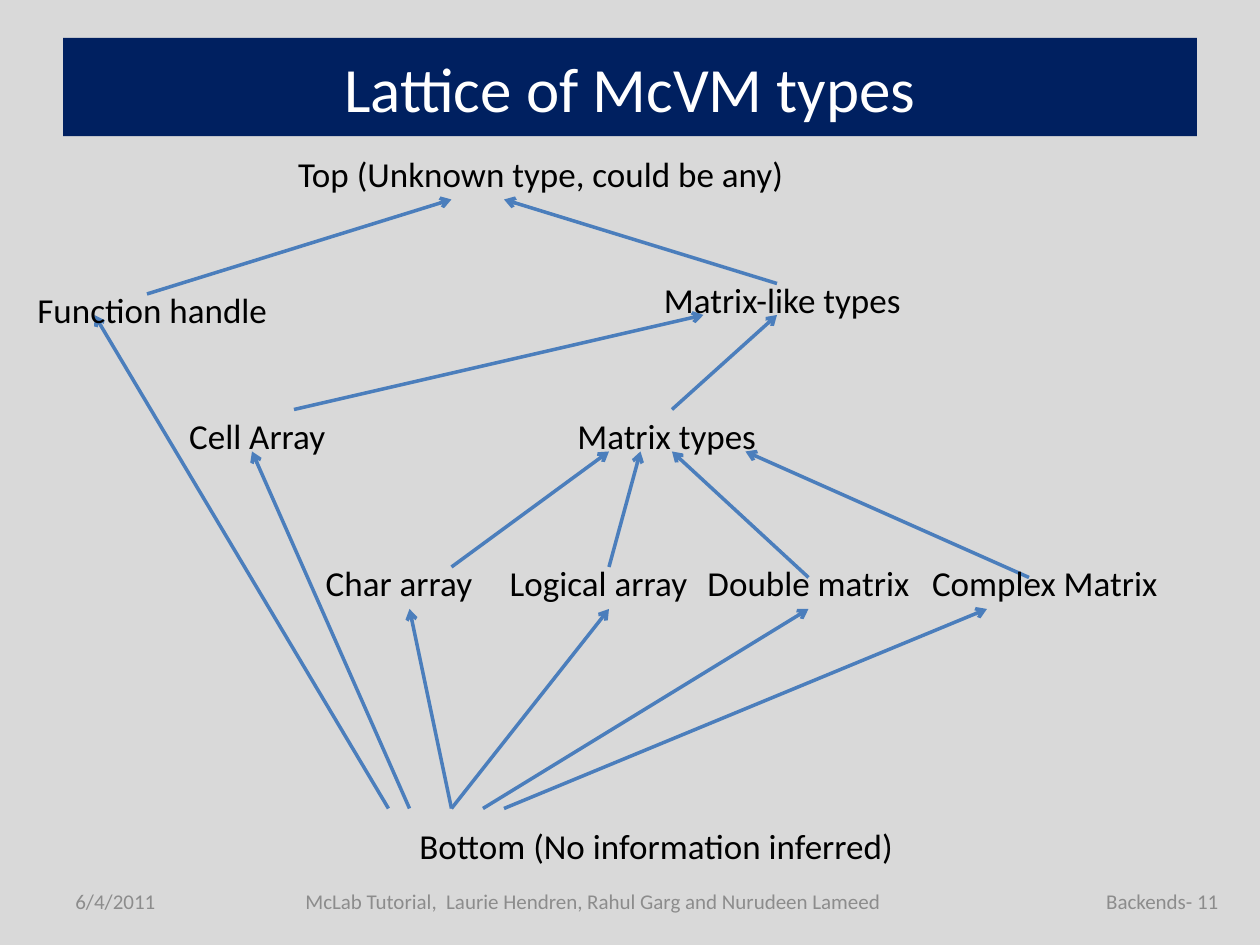
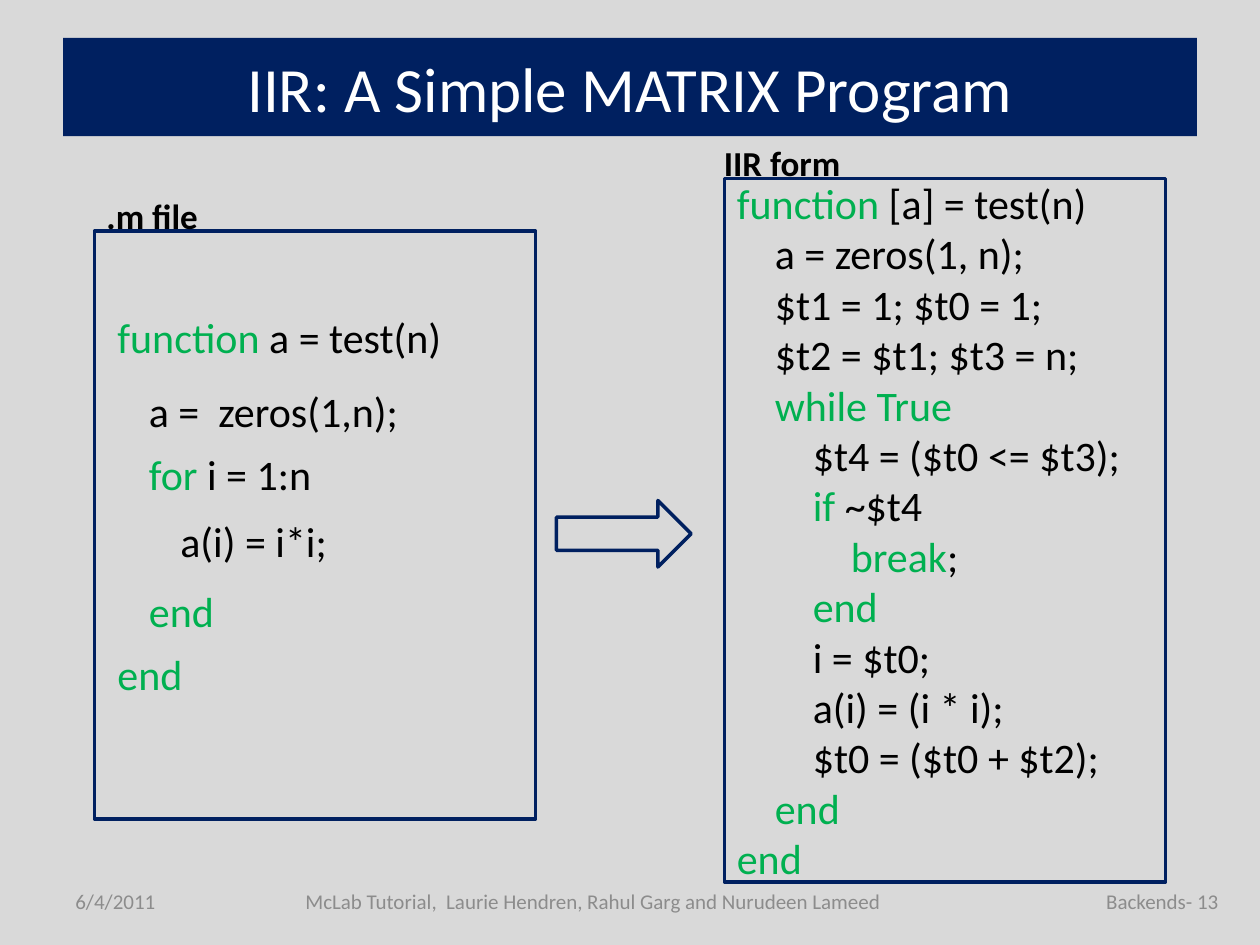
from lxml import etree
from pptx import Presentation
from pptx.dml.color import RGBColor
from pptx.enum.shapes import MSO_CONNECTOR, MSO_SHAPE
from pptx.enum.text import MSO_ANCHOR, MSO_AUTO_SIZE, PP_ALIGN
from pptx.oxml.ns import qn
from pptx.util import Pt

LEFT, CENTER, RIGHT = PP_ALIGN.LEFT, PP_ALIGN.CENTER, PP_ALIGN.RIGHT
MIDDLE = MSO_ANCHOR.MIDDLE
NO_AUTOFIT = MSO_AUTO_SIZE.NONE
STRAIGHT = MSO_CONNECTOR.STRAIGHT
RECTANGLE, RIGHT_ARROW = MSO_SHAPE.RECTANGLE, MSO_SHAPE.RIGHT_ARROW

FONT = "Calibri"
COLORS = {
    "background": "D9D9D9",
    "navy": "002060",
    "white": "FFFFFF",
    "black": "000000",
    "footer": "8C8C8C",
    "edge": "4B7EBC",
    "keyword": "00B050",
}
LABEL_HEIGHT = 30
LINE_WIDTH = 2

# Type lattice: label, left, top, width
LATTICE_TYPES = [
    ("Top (Unknown type, could be any)", 156, 84, 306),
    ("Function handle", 6, 162, 162),
    ("Matrix-like types", 330, 156, 234),
    ("Cell Array", 66, 234, 162),
    ("Matrix types", 300, 234, 162),
    ("Char array", 162, 318, 132),
    ("Logical array", 276, 318, 132),
    ("Double matrix", 396, 318, 132),
    ("Complex Matrix", 510, 318, 174),
    ("Bottom (No information inferred)", 198, 468, 354),
]

# Subtype arrows: start, end
SUBTYPE_ARROWS = [
    # Into Top
    ((84, 168), (258, 114)),
    ((444, 162), (288, 114)),
    # Into Matrix-like types
    ((168, 234), (402, 180)),
    ((384, 234), (444, 180)),
    # Into Matrix types
    ((258, 324), (348, 258)),
    ((348, 324), (366, 258)),
    ((462, 330), (384, 258)),
    ((588, 330), (426, 258)),
    # Out of Bottom
    ((222, 462), (54, 180)),
    ((234, 462), (144, 258)),
    ((258, 462), (234, 348)),
    ((258, 462), (348, 348)),
    ((276, 462), (462, 348)),
    ((288, 462), (564, 348)),
]

# Source program: top, nesting level, keyword, rest of line
M_FILE = [
    (171.7, 0, "function", " a = test(n)"),
    (213.7, 1, "", "a =  zeros(1,n);"),
    (249.7, 1, "for ", "i = 1:n"),
    (288, 2, "", "a(i) = i*i;"),
    (327.7, 1, "end", ""),
    (363.7, 0, "end", ""),
]

# IIR program: nesting level, keyword, rest of line
IIR_FORM = [
    (0, "function", " [a] = test(n)"),
    (1, "", "a = zeros(1, n);"),
    (1, "", "$t1 = 1; $t0 = 1;"),
    (1, "", "$t2 = $t1; $t3 = n;"),
    (1, "while True", ""),
    (2, "", "$t4 = ($t0 <= $t3);"),
    (2, "if", " ~$t4"),
    (3, "break", ";"),
    (2, "end", ""),
    (2, "", "i = $t0;"),
    (2, "", "a(i) = (i * i);"),
    (2, "", "$t0 = ($t0 + $t2);"),
    (1, "end", ""),
    (0, "end", ""),
]


def rgb(name):
    return RGBColor.from_string(COLORS[name])


def write_text(shape, text, size=20, color="black", bold=False, align=CENTER,
               indent=21.7, line_spacing=None):
    """Write a string, or code lines given as (level, keyword, rest)."""
    frame = shape.text_frame
    frame.auto_size = NO_AUTOFIT
    frame.word_wrap = True
    frame.vertical_anchor = MIDDLE
    lines = [(0, "", text)] if isinstance(text, str) else text
    for number, (level, keyword, rest) in enumerate(lines):
        paragraph = frame.add_paragraph() if number else frame.paragraphs[0]
        paragraph.alignment = align
        if line_spacing:
            paragraph.line_spacing = Pt(line_spacing)
        if level:
            properties = paragraph._p.get_or_add_pPr()
            properties.set("marL", str(Pt(level * indent)))
            properties.set("indent", "0")
        for part, part_color in ((keyword, "keyword"), (rest, color)):
            if part:
                run = paragraph.add_run()
                run.text = part
                run.font.name = FONT
                run.font.size = Pt(size)
                run.font.bold = bold
                run.font.color.rgb = rgb(part_color)


def add_label(slide, text, left, top, width, height=LABEL_HEIGHT, **text_format):
    label = slide.shapes.add_textbox(Pt(left), Pt(top), Pt(width), Pt(height))
    write_text(label, text, **text_format)


def add_outline(slide, kind, left, top, width, height):
    outline = slide.shapes.add_shape(kind, Pt(left), Pt(top), Pt(width), Pt(height))
    outline.shadow.inherit = False
    outline.fill.background()
    outline.line.color.rgb = rgb("navy")
    outline.line.width = Pt(LINE_WIDTH)
    return outline


def add_arrow(slide, start, end):
    arrow = slide.shapes.add_connector(STRAIGHT, *map(Pt, start + end))
    arrow.line.color.rgb = rgb("edge")
    arrow.line.width = Pt(LINE_WIDTH)
    etree.SubElement(arrow.line._get_or_add_ln(), qn("a:tailEnd"), type="arrow")
    etree.SubElement(arrow._element.spPr, qn("a:effectLst"))


def add_titled_slide(prs, heading, page):
    slide = prs.slides.add_slide(prs.slide_layouts[5])

    # Title band
    title = slide.shapes.title
    title.left, title.top, title.width, title.height = map(Pt, (36, 21.6, 648, 56.2))
    title.fill.solid()
    title.fill.fore_color.rgb = rgb("navy")
    write_text(title, heading, size=36, color="white")

    # Footer
    for text, left, width, align in (
        ("6/4/2011", 36, 66, LEFT),
        ("McLab Tutorial,  Laurie Hendren, Rahul Garg and Nurudeen Lameed",
         144, 390, CENTER),
        (f"Backends- {page}", 618, 85.4, RIGHT),
    ):
        add_label(slide, text, left, 500.4, width, 28.8,
                  size=12, color="footer", align=align)
    return slide


def build_lattice(prs):
    slide = add_titled_slide(prs, "Lattice of McVM types", 11)
    for start, end in SUBTYPE_ARROWS:
        add_arrow(slide, start, end)
    for name, left, top, width in LATTICE_TYPES:
        add_label(slide, name, left, top, width)


def build_program(prs):
    slide = add_titled_slide(prs, "IIR: A Simple MATRIX Program", 13)

    # Panels and the arrow between them
    add_outline(slide, RECTANGLE, 54, 132, 252, 336)
    iir_panel = add_outline(slide, RECTANGLE, 414, 102, 252, 402)
    add_outline(slide, RIGHT_ARROW, 318, 286, 77, 38)
    add_label(slide, ".m file", 48, 108, 78, bold=True)
    add_label(slide, "IIR form", 396, 78, 102, bold=True)

    # Code
    iir_panel.text_frame.margin_top = iir_panel.text_frame.margin_bottom = 0
    write_text(iir_panel, IIR_FORM, size=24, align=LEFT, line_spacing=28.8)
    for top, level, keyword, rest in M_FILE:
        add_label(slide, [(0, keyword, rest)], 60 + 18 * level, top, 216, 42,
                  size=24, align=LEFT)


def main():
    prs = Presentation()
    prs.slide_width, prs.slide_height = Pt(720), Pt(540)
    backdrop = prs.slide_master.background.fill
    backdrop.solid()
    backdrop.fore_color.rgb = rgb("background")
    build_lattice(prs)
    build_program(prs)
    prs.save("out.pptx")


if __name__ == "__main__":
    main()
